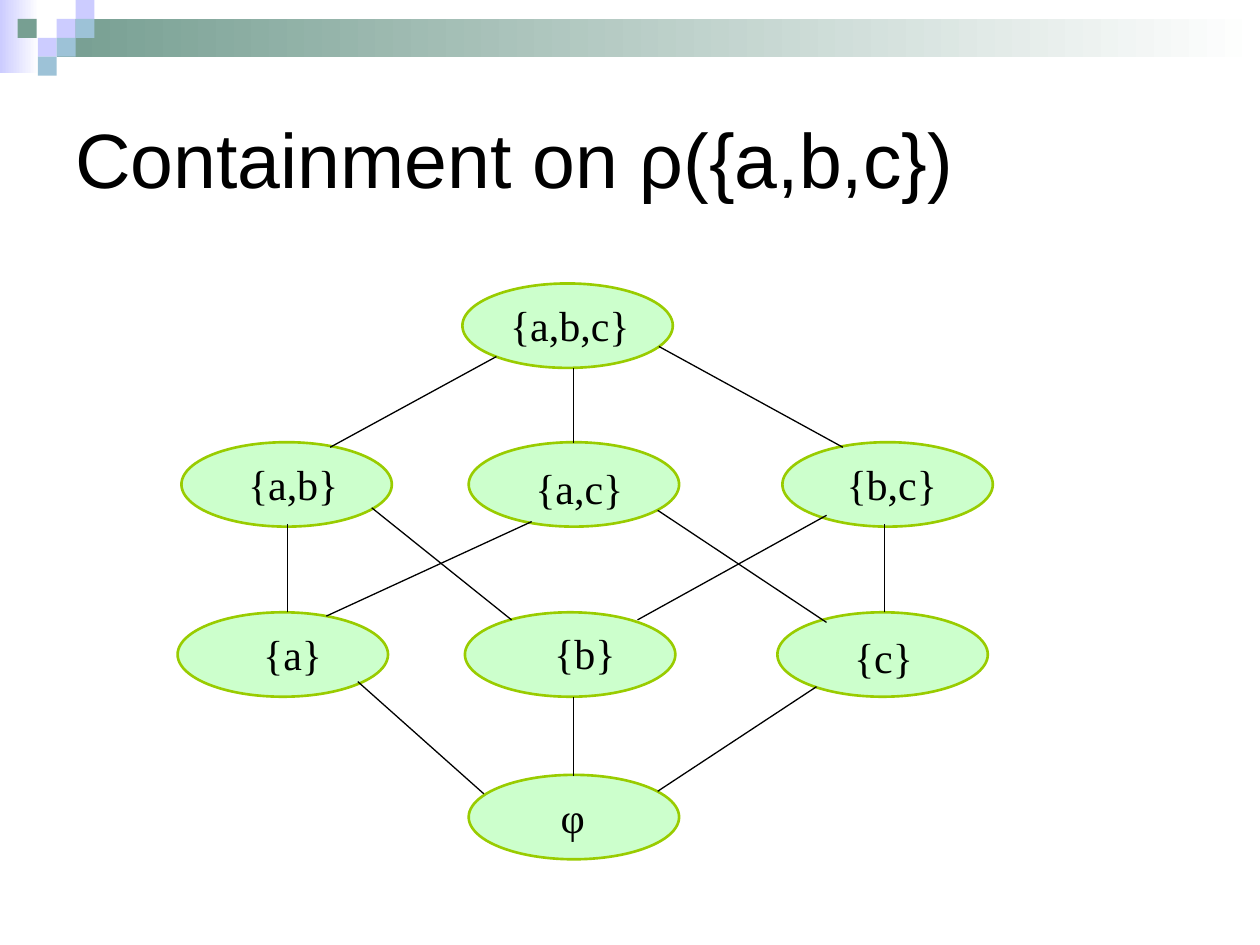
from typing import NamedTuple

from lxml.etree import SubElement
from pptx import Presentation
from pptx.dml.color import RGBColor
from pptx.enum.shapes import MSO_CONNECTOR as Link, MSO_SHAPE as Form
from pptx.enum.text import MSO_ANCHOR as Anchor, PP_ALIGN as Align
from pptx.oxml.ns import qn
from pptx.util import Inches, Pt

BLACK = RGBColor(0x00, 0x00, 0x00)
WHITE = RGBColor(0xFF, 0xFF, 0xFF)
LILAC = RGBColor(0xCC, 0xCC, 0xFF)
SAGE = RGBColor(0x77, 0x9F, 0x92)
BLUE = RGBColor(0x9D, 0xC2, 0xD7)
MINT = RGBColor(0xCC, 0xFF, 0xCC)
LIME = RGBColor(0x99, 0xCC, 0x00)
TILE = 0.15


class Box(NamedTuple):
    left: float
    top: float
    width: float
    height: float


class Tile(NamedTuple):
    left: float
    row: int
    color: RGBColor


class Node(NamedTuple):
    label: str
    left: float
    top: float
    text_left: float
    text_top: float
    align: Align = Align.LEFT


class Edge(NamedTuple):
    x1: float
    y1: float
    x2: float
    y2: float


TILES = [
    Tile(0.45, 1, LILAC),
    Tile(0.6, 0, LILAC),
    Tile(0.6, 1, BLUE),
    Tile(0.3, 2, LILAC),
    Tile(0.14, 1, SAGE),
    Tile(0.45, 2, BLUE),
    Tile(0.3, 3, BLUE),
]
NODES = [
    Node("{a,b,c}", 3.67, 2.25, 3.95, 2.33),
    Node("{a,b}", 1.44, 3.51, 1.87, 3.59),
    Node("{a,c}", 3.72, 3.51, 4.15, 3.62),
    Node("{b,c}", 6.21, 3.51, 6.62, 3.59),
    Node("{a}", 1.41, 4.86, 1.99, 4.94),
    Node("{b}", 3.69, 4.86, 4.3, 4.93),
    Node("{c}", 6.17, 4.86, 6.68, 4.96),
    Node("φ", 3.72, 6.15, 3.92, 6.23, Align.CENTER),
]
EDGES = [
    Edge(3.84, 6.3, 2.84, 5.41),
    Edge(4.55, 6.16, 4.55, 5.53),
    Edge(5.22, 6.28, 6.48, 5.45),
    Edge(2.28, 4.86, 2.28, 4.16),
    Edge(2.59, 4.89, 4.22, 4.14),
    Edge(4.06, 4.92, 2.95, 4.03),
    Edge(5.06, 4.92, 6.56, 4.09),
    Edge(6.56, 4.94, 5.22, 4.05),
    Edge(7.02, 4.86, 7.02, 4.16),
    Edge(2.62, 3.55, 3.94, 2.83),
    Edge(4.55, 3.52, 4.55, 2.92),
    Edge(6.69, 3.55, 5.23, 2.75),
]

deck = Presentation()
deck.slide_width, deck.slide_height = Inches(10), Inches(7.5)
slide = deck.slides.add_slide(deck.slide_layouts[6])
shapes = slide.shapes


def add_form(form: Form, box: Box):
    shape = shapes.add_shape(form, *map(Inches, box))
    shape.shadow.inherit = False
    shape.line.fill.background()
    return shape


def paint(shape, color: RGBColor) -> None:
    shape.fill.solid()
    shape.fill.fore_color.rgb = color


def add_fade(box: Box, color: RGBColor) -> None:
    fill = add_form(Form.RECTANGLE, box).fill
    fill.gradient()
    fill.gradient_angle = 0
    for stop, tone, place in zip(fill.gradient_stops, (color, WHITE), (0, 1)):
        stop.color.rgb = tone
        stop.position = place


def add_text(text: str, box: Box, face: str, size: int,
             anchor: Anchor = Anchor.TOP, align: Align = Align.LEFT) -> None:
    frame = shapes.add_textbox(*map(Inches, box)).text_frame
    frame.word_wrap = True
    frame.vertical_anchor = anchor
    line = frame.paragraphs[0]
    line.text = text
    line.alignment = align
    line.font.name = face
    line.font.size = Pt(size)
    line.font.color.rgb = BLACK


def add_node(node: Node) -> None:
    oval = add_form(Form.OVAL, Box(node.left, node.top, 1.67, 0.67))
    paint(oval, MINT)
    oval.line.color.rgb = LIME
    oval.line.width = Pt(1.5)
    add_text(node.label, Box(node.text_left, node.text_top, 1.25, 0.5),
             "Times New Roman", 24, align=node.align)


def add_edge(edge: Edge) -> None:
    link = shapes.add_connector(Link.STRAIGHT, *map(Inches, edge))
    link.line.color.rgb = BLACK
    link.line.width = Pt(0.75)
    SubElement(link._element.spPr, qn("a:effectLst"))


add_fade(Box(0, 0, 0.31, 0.58), LILAC)
add_fade(Box(0.45, 0.15, 9.55, 0.3), SAGE)
for tile in TILES:
    paint(add_form(Form.RECTANGLE, Box(tile.left, tile.row * TILE, TILE, TILE)),
          tile.color)
add_text("Containment on ρ({a,b,c})", Box(0.5, 0.5, 9, 1.5), "Arial", 44,
         anchor=Anchor.MIDDLE)
for node in NODES:
    add_node(node)
for edge in EDGES:
    add_edge(edge)

deck.save("out.pptx")
